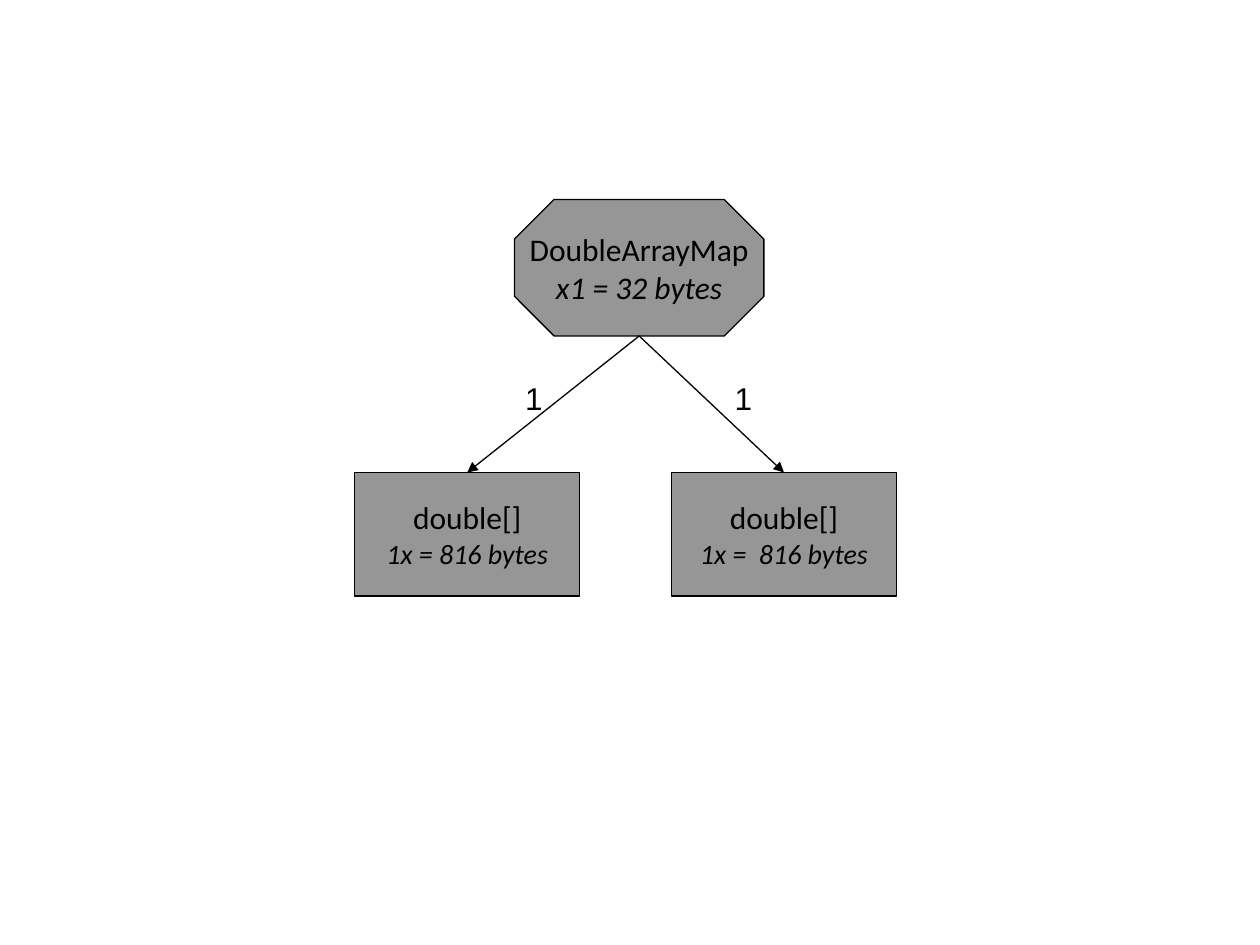
from lxml import etree
from pptx import Presentation
from pptx.dml.color import RGBColor
from pptx.enum.shapes import MSO_CONNECTOR, MSO_SHAPE
from pptx.enum.text import MSO_ANCHOR, MSO_AUTO_SIZE, PP_ALIGN
from pptx.oxml.ns import qn
from pptx.util import Pt

COLORS = {name: RGBColor.from_string(value) for name, value in
          {"fill": "969696", "ink": "000000"}.items()}

prs = Presentation()
prs.slide_width, prs.slide_height = Pt(720), Pt(540)
shapes = prs.slides.add_slide(prs.slide_layouts[6]).shapes


def add_node(kind, left, top, width, height, name, size_note, note_pt):
    """Add a grey node with a type name over its memory use in italics."""
    sp = shapes.add_shape(kind, Pt(left), Pt(top), Pt(width), Pt(height))
    sp.shadow.inherit = False
    sp.fill.solid()
    sp.fill.fore_color.rgb = COLORS["fill"]
    sp.line.color.rgb = COLORS["ink"]
    sp.line.width = Pt(0.75)
    tf = sp.text_frame
    tf.word_wrap = False
    tf.vertical_anchor = MSO_ANCHOR.MIDDLE
    tf.text = f"{name}\n{size_note}"
    for p, size, italic in zip(tf.paragraphs, (18, note_pt), (False, True)):
        p.alignment = PP_ALIGN.CENTER
        p.font.name = "Calibri"
        p.font.size = Pt(size)
        p.font.italic = italic
        p.font.color.rgb = COLORS["ink"]
    return sp


arrays = [add_node(MSO_SHAPE.FLOWCHART_PROCESS, left, 270, 128.5, 70.5,
                   "double[]", note, 16)
          for left, note in ((202.75, "1x = 816 bytes"),
                             (383.75, "1x =  816 bytes"))]
array_map = add_node(MSO_SHAPE.OCTAGON, 294, 114, 142.5, 78,
                     "DoubleArrayMap", "x1 = 32 bytes", 18)
array_map.adjustments[0] = 0.29

# The octagon has no connection site at the middle of its bottom side
start_x = array_map.left + array_map.width // 2
start_y = array_map.top + array_map.height
for array in arrays:
    arrow = shapes.add_connector(MSO_CONNECTOR.STRAIGHT,
                                 start_x, start_y, array.left, array.top)
    arrow.end_connect(array, 0)
    arrow.line.color.rgb = COLORS["ink"]
    arrow.line.width = Pt(0.75)
    etree.SubElement(arrow.line._get_or_add_ln(), qn("a:tailEnd"), type="triangle")
    etree.SubElement(arrow._element.spPr, qn("a:effectLst"))

for left in (412.75, 293):
    tf = shapes.add_textbox(Pt(left), Pt(213), Pt(24.5), Pt(29)).text_frame
    tf.word_wrap = False
    tf.auto_size = MSO_AUTO_SIZE.SHAPE_TO_FIT_TEXT
    tf.text = "1"
    font = tf.paragraphs[0].font
    font.name = "Arial"
    font.size = Pt(18)
    font.color.rgb = COLORS["ink"]

prs.save("out.pptx")
